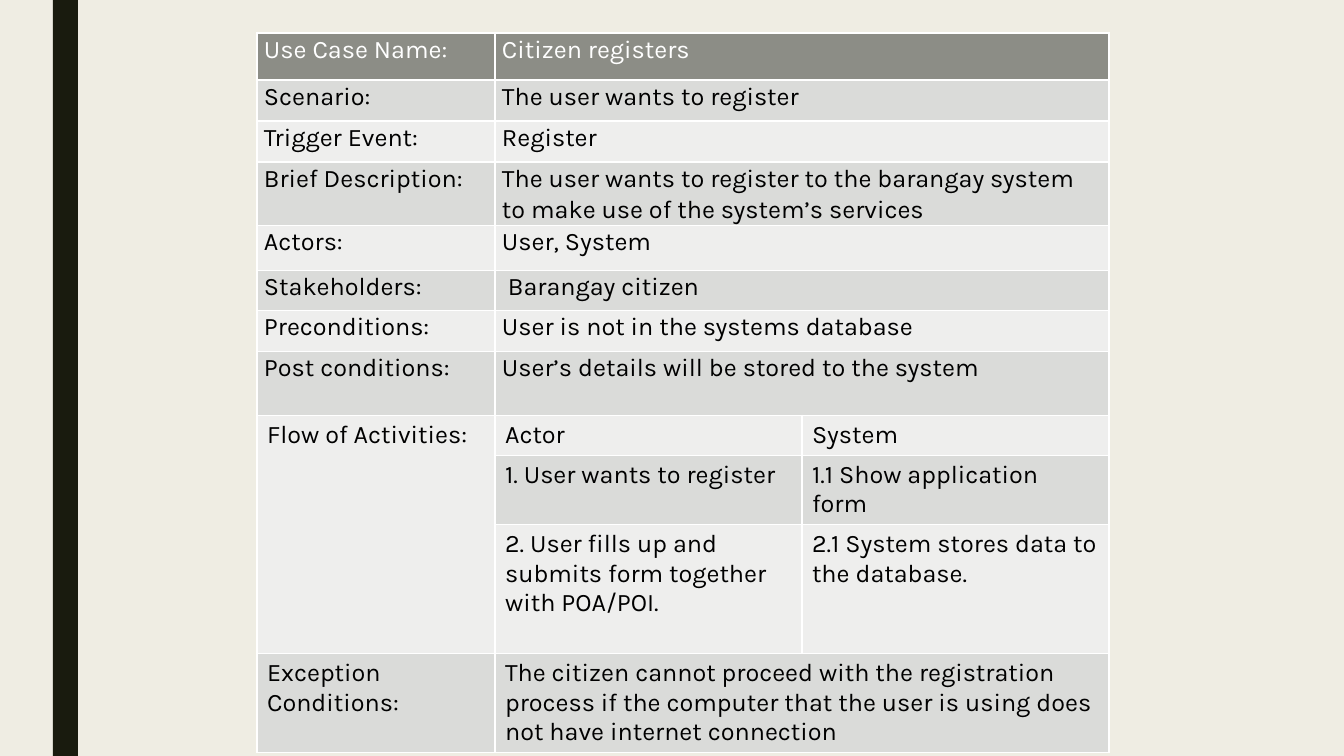
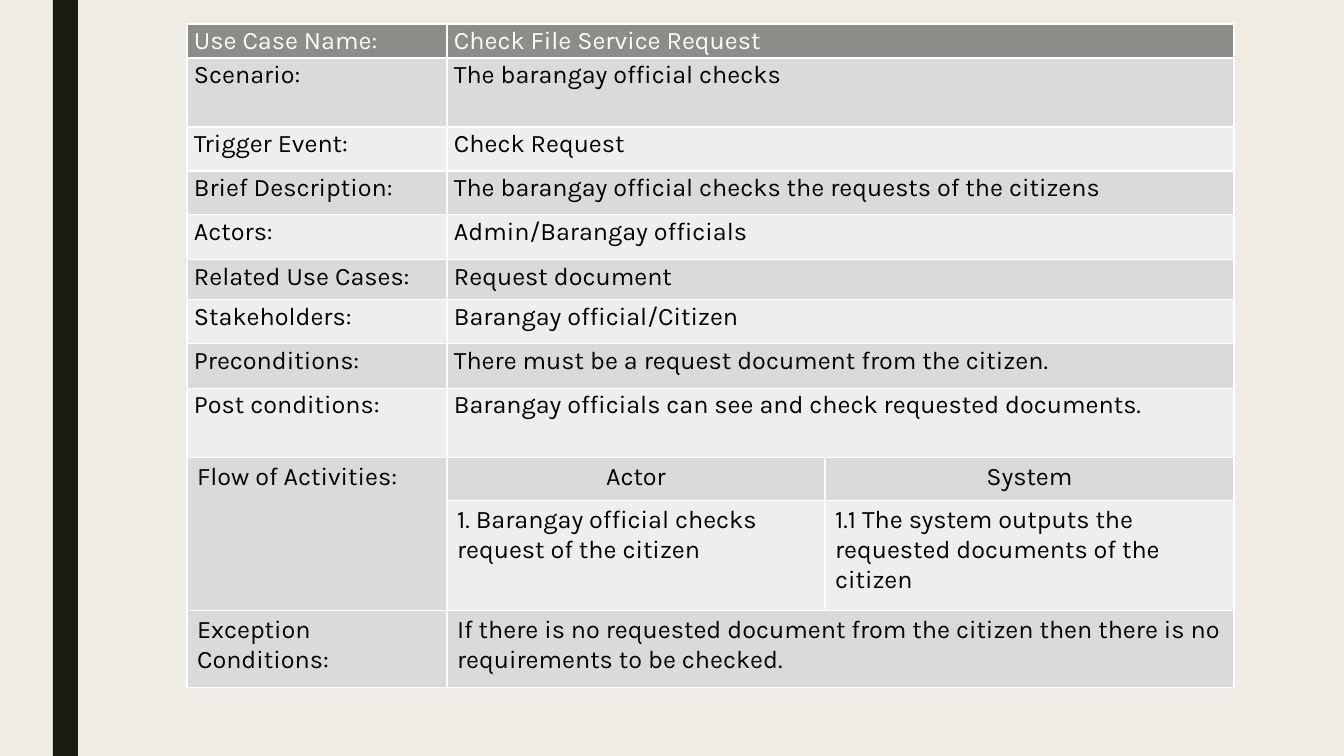
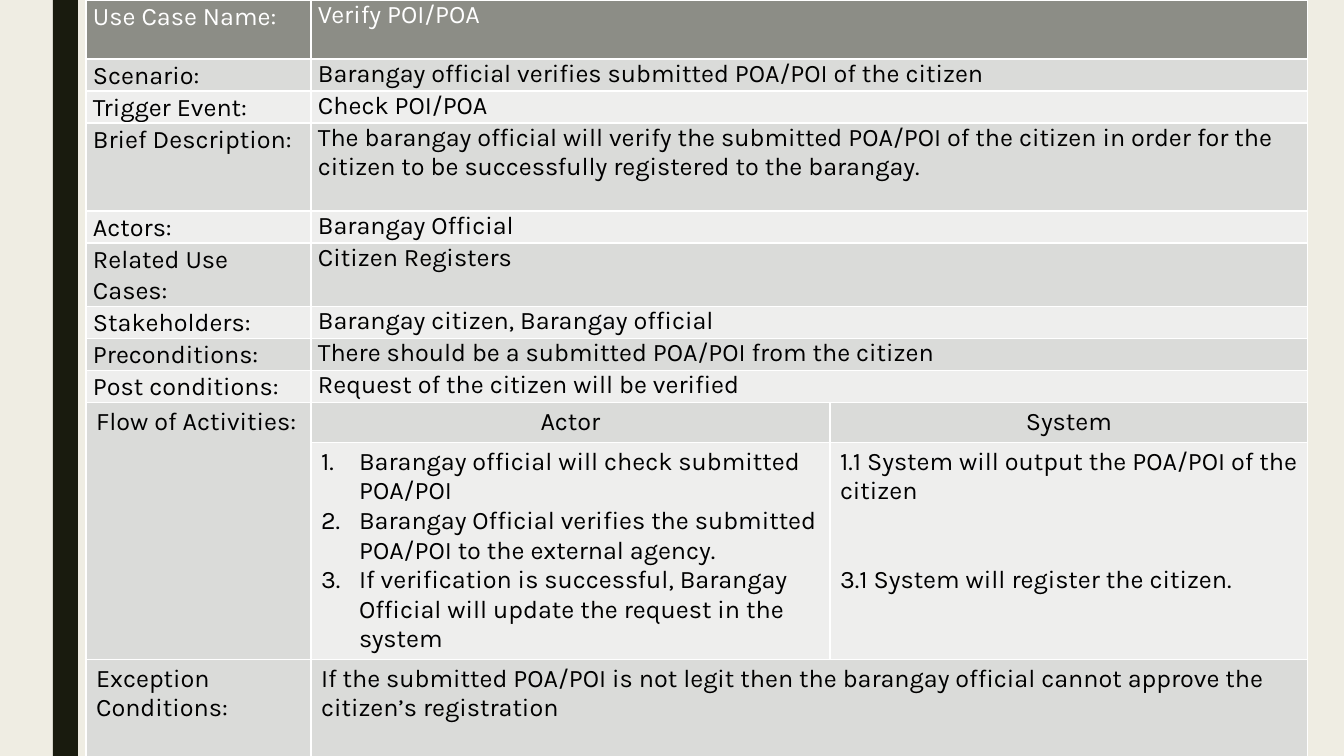
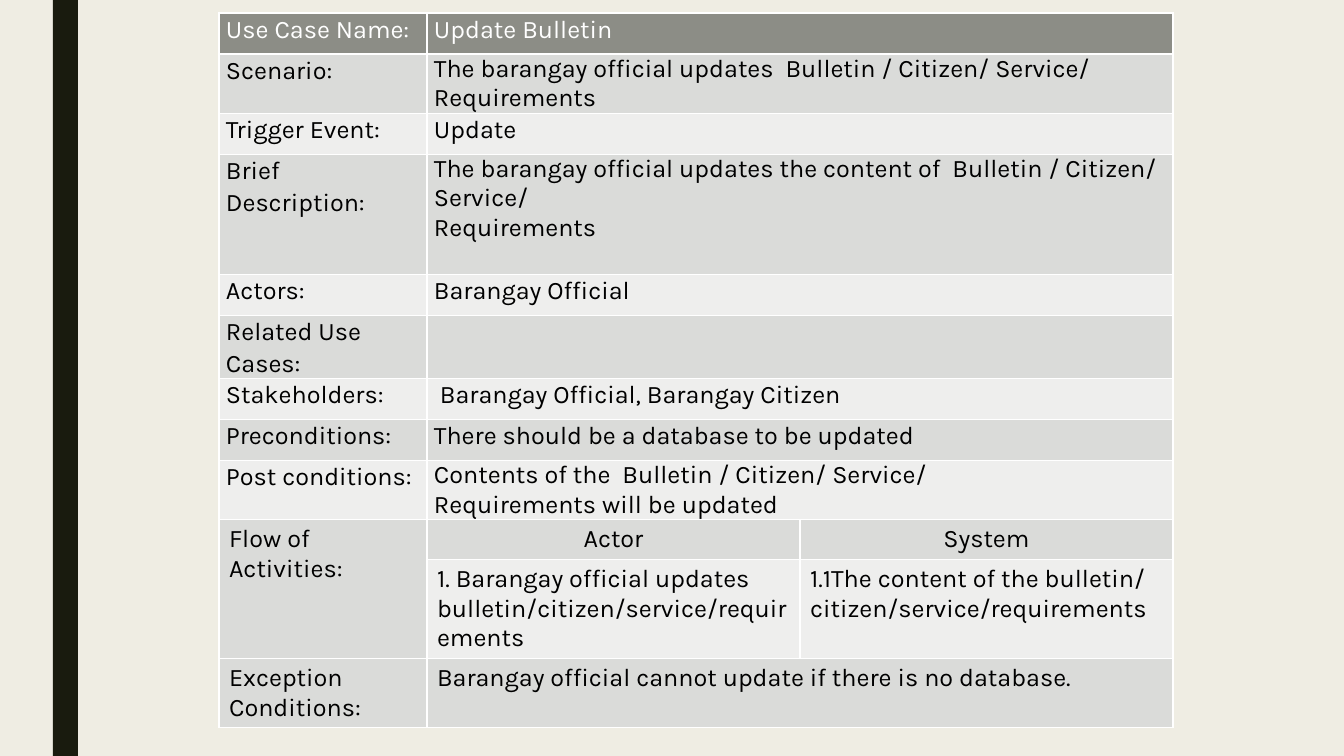
from lxml.etree import SubElement as Sub
from pptx import Presentation
from pptx.dml.color import RGBColor as RGB
from pptx.enum.shapes import MSO_SHAPE as SHAPE
from pptx.enum.text import PP_ALIGN as ALIGN
from pptx.oxml.ns import qn
from pptx.util import Pt

PX = 914400 / 100.8
FONT, SIZE = "Karla", 18
HUES = {
    "page": "EFEDE3", "bar": "191B0E", "head": "8C8D86", "dark": "DADBD9",
    "light": "EEEEED", "line": "FFFFFF", "text": "000000",
}
LABELS = [
    "Use Case Name:", "Scenario:", "Trigger Event:", "Brief Description:", "Actors:",
    "Related Use Cases:", "Stakeholders:", "Preconditions:", "Post conditions:",
]

# One entry per slide; facts follow LABELS, and None drops that row
CASES = [
    {
        "at": (257, 33), "cols": (238, 307, 307),
        "rows": (47, 41, 41, 63, 45, 40, 41, 64, 40, 69, 129, 98),
        "lead": 1.07, "align": ALIGN.LEFT, "gap": 0,
        "facts": [
            "Citizen registers",
            "The user wants to register",
            "Register",
            "The user wants to register to the barangay system to make use of the system’s services",
            "User, System",
            None,
            " Barangay citizen",
            "User is not in the systems database",
            "User’s details will be stored to the system",
        ],
        "flow": [
            ("1. User wants to register", "1.1 Show application form"),
            ("2. User fills up and submits form together with POA/POI.",
             "2.1 System stores data to the database."),
        ],
        "except": "The citizen cannot proceed with the registration process if the computer "
                  "that the user is using does not have internet connection",
    },
    {
        "at": (187, 24), "cols": (260, 378, 409),
        "rows": (34, 69, 44, 44, 45, 40, 44, 45, 69, 43, 110, 77),
        "lead": 1.07, "align": ALIGN.CENTER, "gap": 0,
        "facts": [
            "Check File Service Request",
            "The barangay official checks",
            "Check Request",
            "The barangay official checks the requests of the citizens",
            "Admin/Barangay officials",
            "Request document",
            "Barangay official/Citizen",
            "There must be a request document from the citizen.",
            "Barangay officials can see and check requested documents.",
        ],
        "flow": [
            ("1. Barangay official checks request of the citizen",
             "1.1 The system outputs the requested documents of the citizen"),
        ],
        "except": "If there is no requested document from the citizen then there is no "
                  "requirements to be checked.",
    },
    {
        "at": (86, 0), "cols": (225, 519, 478),
        "rows": (59, 32, 32, 88, 32, 63, 32, 32, 32, 40, 217, 97),
        "lead": 1.0, "align": ALIGN.CENTER, "gap": 42,
        "facts": [
            "Verify POI/POA",
            "Barangay official verifies submitted POA/POI of the citizen",
            "Check POI/POA",
            "The barangay official will verify the submitted POA/POI of the citizen in order "
            "for the citizen to be successfully registered to the barangay.",
            "Barangay Official",
            "Citizen Registers",
            "Barangay citizen, Barangay official",
            "There should be a submitted POA/POI from the citizen",
            "Request of the citizen will be verified",
        ],
        "flow": [
            ("Barangay official will check submitted POA/POI\n"
             "Barangay Official verifies the submitted POA/POI to the external agency.\n"
             "If verification is successful, Barangay Official will update the request in the system",
             "1.1 System will output the POA/POI of the citizen\n"
             "3.1 System will register the citizen."),
        ],
        "except": "If the submitted POA/POI is not legit then the barangay official cannot "
                  "approve the citizen’s registration",
    },
    {
        "at": (219, 13), "cols": (208, 373, 373),
        "rows": (41, 59, 41, 120, 41, 63, 41, 41, 59, 40, 99, 69),
        "lead": 1.07, "align": ALIGN.CENTER, "gap": 0,
        "facts": [
            "Update Bulletin",
            "The barangay official updates  Bulletin / Citizen/ Service/\nRequirements",
            "Update",
            "The barangay official updates the content of  Bulletin / Citizen/ Service/\nRequirements",
            "Barangay Official",
            "",
            " Barangay Official, Barangay Citizen",
            "There should be a database to be updated",
            "Contents of the  Bulletin / Citizen/ Service/\nRequirements will be updated",
        ],
        "flow": [
            ("1. Barangay official updates bulletin/citizen/service/requirements",
             "1.1The content of the bulletin/\ncitizen/service/requirements"),
        ],
        "except": "Barangay official cannot update if there is no database.",
    },
]


def px(num):
    return round(num * PX)


def write(cell, text, hue="text", lead=None, align=ALIGN.LEFT):
    cell.text = text
    for para in cell.text_frame.paragraphs:
        para.font.name, para.font.size = FONT, Pt(SIZE)
        para.font.color.rgb = RGB.from_string(HUES[hue])
        para.alignment = align
        if lead:
            para.line_spacing = lead


prs = Presentation()
prs.slide_width, prs.slide_height = px(1344), px(756)
back = prs.slide_master.background.fill
back.solid()
back.fore_color.rgb = RGB.from_string(HUES["page"])

for case in CASES:
    slide = prs.slides.add_slide(prs.slide_layouts[6])

    # Side bar
    bar = slide.shapes.add_shape(SHAPE.RECTANGLE, px(53), 0, px(25), px(756))
    bar.shadow.inherit = False
    bar.fill.solid()
    bar.fill.fore_color.rgb = RGB.from_string(HUES["bar"])
    bar.line.fill.background()

    # Table grid
    cols, rows = case["cols"], case["rows"]
    left, top = case["at"]
    grid = slide.shapes.add_table(
        len(rows), len(cols), px(left), px(top), px(sum(cols)), px(sum(rows))).table
    for col, wide in zip(grid.columns, cols):
        col.width = px(wide)
    for row, high in zip(grid.rows, rows):
        row.height = px(high)

    # Borders, bands and margins
    facts = [(name, fact) for name, fact in zip(LABELS, case["facts"]) if fact is not None]
    start, last = len(facts), len(rows) - 1
    for num, row in enumerate(grid.rows):
        band = "head" if num == 0 else "dark" if num % 2 else "light"
        for cell in row.cells:
            props = cell._tc.get_or_add_tcPr()
            for side in ("lnL", "lnR", "lnT", "lnB"):
                edge = Sub(props, qn("a:" + side), w=str(Pt(1)))
                Sub(Sub(edge, qn("a:solidFill")), qn("a:srgbClr"), val=HUES["line"])
            cell.fill.solid()
            cell.fill.fore_color.rgb = RGB.from_string(HUES[band])
            if num < start:
                cell.margin_left = cell.margin_right = px(7)
                cell.margin_top = cell.margin_bottom = 0
        if num < start or num == last:
            grid.cell(num, 1).merge(grid.cell(num, 2))
    grid.cell(start, 0).merge(grid.cell(last - 1, 0))

    # Facts
    for num, (name, fact) in enumerate(facts):
        hue = "text" if num else "line"
        write(grid.cell(num, 0), name, hue, 1.07)
        write(grid.cell(num, 1), fact, hue, 1.0 if "\n" in fact else case["lead"])

    # Flow of activities
    write(grid.cell(start, 0), "Flow of Activities:")
    for col, name in enumerate(("Actor", "System"), 1):
        write(grid.cell(start, col), name, align=case["align"])
    for num, (act, reply) in enumerate(case["flow"], start + 1):
        actor, system = grid.cell(num, 1), grid.cell(num, 2)
        write(actor, act)
        write(system, reply)
        if "\n" in act:
            for para in actor.text_frame.paragraphs:
                props = para._p.get_or_add_pPr()
                props.set("marL", str(px(38)))
                props.set("indent", str(-px(38)))
                Sub(props, qn("a:buFont"), typeface="+mj-lt")
                mark = Sub(props, qn("a:buAutoNum"), type="arabicPeriod")
                # Bullets precede the default run settings
                props.append(props.find(qn("a:defRPr")))
        for para in system.text_frame.paragraphs[1:]:
            para.space_before = Pt(case["gap"])

    # Exceptions
    write(grid.cell(last, 0), "Exception Conditions:")
    write(grid.cell(last, 1), case["except"])

prs.save("out.pptx")
